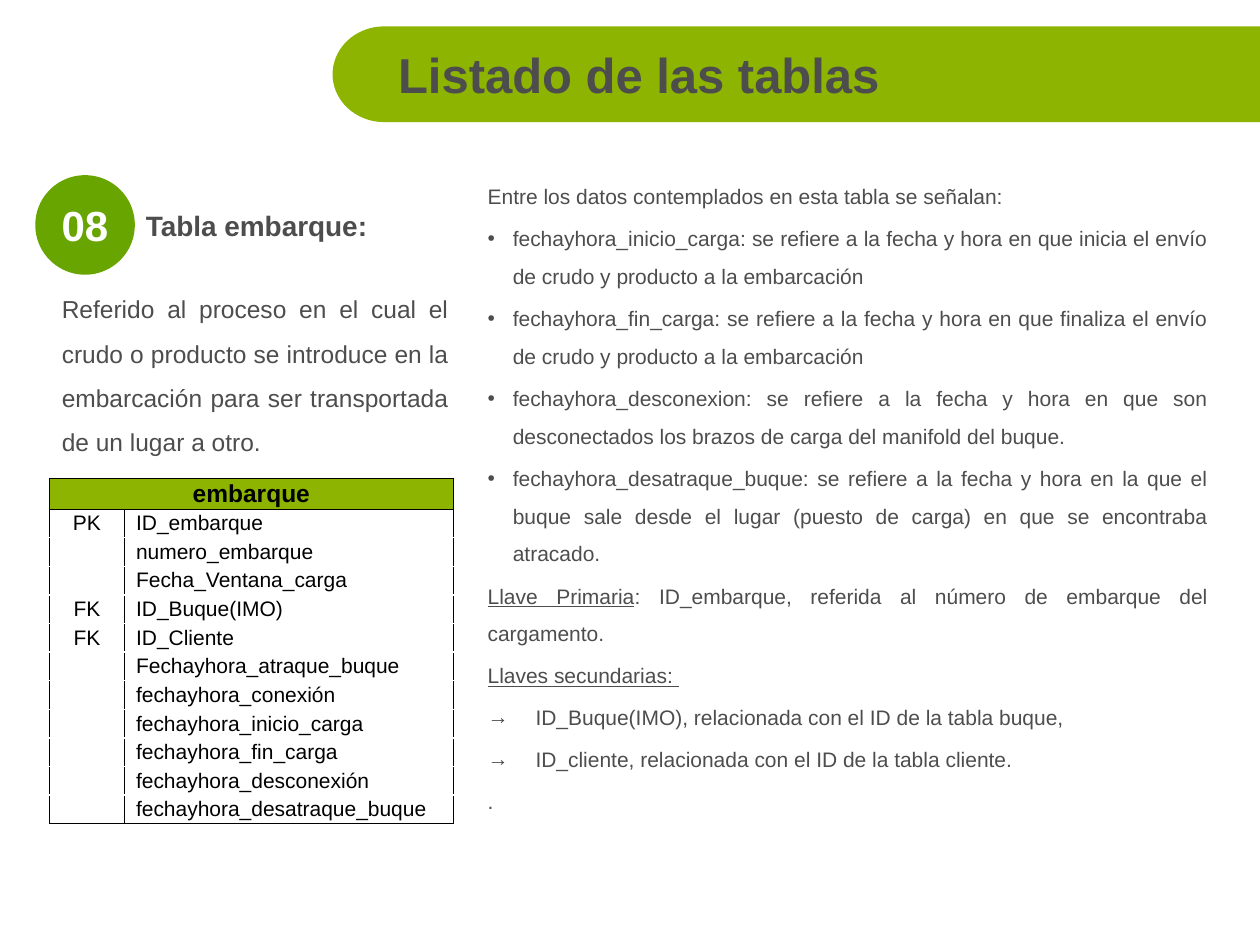
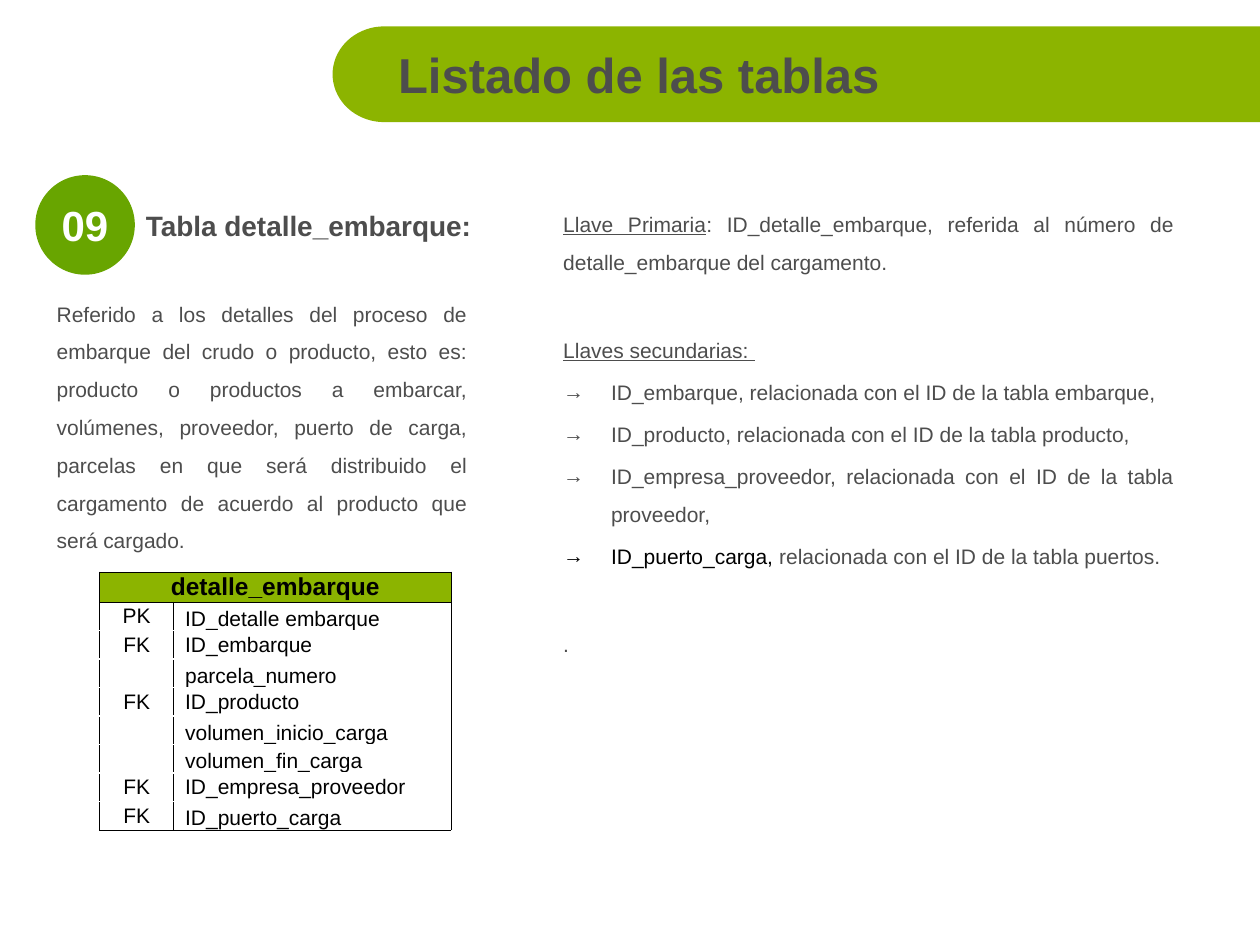
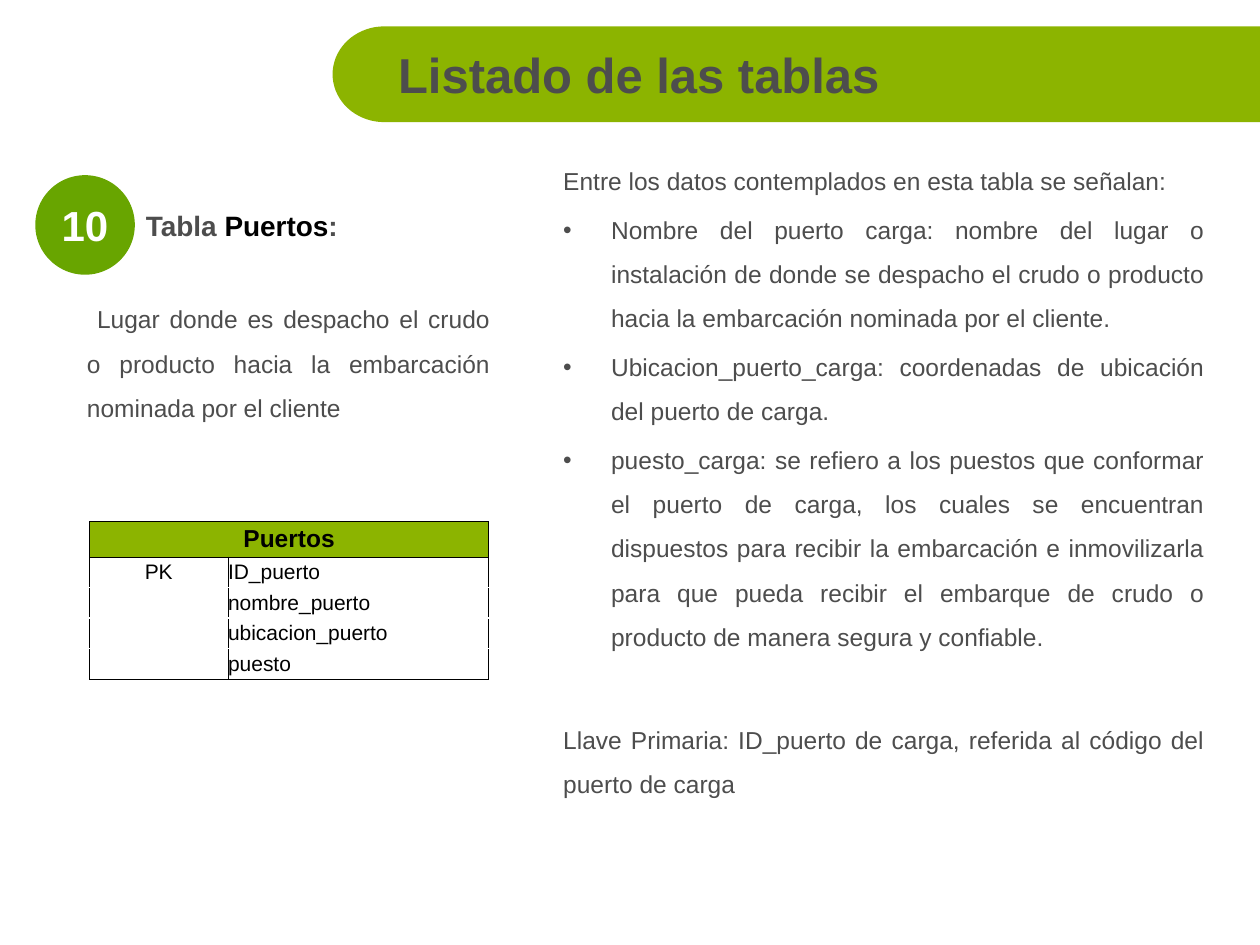
"""Builds three slides describing the tables of a shipping database."""
import math
from collections import namedtuple

from lxml import etree
from pptx import Presentation
from pptx import util as u
from pptx.dml.color import RGBColor
from pptx.enum import shapes, text
from pptx.oxml.ns import qn

LIME = RGBColor(0x8C, 0xB4, 0x00)
GREEN = RGBColor(0x68, 0xA5, 0x00)
GREY = RGBColor(0x4D, 0x4D, 0x4D)
BLACK = RGBColor(0, 0, 0)
WHITE = RGBColor(0xFF, 0xFF, 0xFF)
FONT = "Arial"
TITLE = "Listado de las tablas"

Line = namedtuple("Line", "runs mark hang first gap", defaults=("", 0, 0, False))
Run = namedtuple("Run", "text color underline", defaults=(GREY, False))
Field = namedtuple("Field", "key name low", defaults=(False,))


def plain(words, **options):
    """Return a line with a single grey run."""
    return Line([Run(words)], **options)


def bullet(words, hang=0.38):
    """Return a line marked with a dot."""
    return plain(words, mark="•", hang=hang)


def arrow(*runs):
    """Return a line marked with an arrow."""
    return Line(runs, mark="→", hang=0.38)


def place(shape, left, top, width, height):
    """Move and size a shape, in inches."""
    shape.left, shape.top = u.Inches(left), u.Inches(top)
    shape.width, shape.height = u.Inches(width), u.Inches(height)


def add_runs(p, runs, size, bold=False):
    """Write formatted runs into a paragraph."""
    for run in runs:
        r = p.add_run()
        r.text = run.text
        r.font.name, r.font.size = FONT, u.Pt(size)
        r.font.bold, r.font.underline = bold, run.underline
        r.font.color.rgb = run.color


def set_bullet(p, line):
    """Set the indents and the bullet of a paragraph."""
    pPr = p._p.get_or_add_pPr()
    pPr.set("marL", str(u.Inches(line.hang)))
    pPr.set("indent", str(u.Inches(line.first - line.hang)))
    if line.mark:
        etree.SubElement(pPr, qn("a:buFont"), typeface=FONT)
        etree.SubElement(pPr, qn("a:buChar"), char=line.mark)
    else:
        etree.SubElement(pPr, qn("a:buNone"))


def fill_body(sp, box, lines, size):
    """Fill a body placeholder with justified lines."""
    place(sp, *box)
    tf = sp.text_frame
    tf.auto_size = text.MSO_AUTO_SIZE.NONE
    for i, line in enumerate(lines):
        p = tf.add_paragraph() if i else tf.paragraphs[0]
        set_bullet(p, line)
        p.alignment = text.PP_ALIGN.JUSTIFY
        p.line_spacing = 1.5
        p.space_before = u.Pt(size * (2.4 if line.gap else 0.2) if i else 0)
        add_runs(p, line.runs, size)


def add_band(s):
    """Draw the title band, round at its left end, behind the title."""
    left, top, right, bottom, start = 2.64, 0.21, 10, 0.97, 3.05
    middle, half = (top + bottom) / 2, (bottom - top) / 2
    angles = [math.radians(90 + 5 * i) for i in range(37)]
    arc = [(start + (start - left) * math.cos(a), middle + half * math.sin(a))
           for a in angles]
    points = [(u.Inches(x), u.Inches(y)) for x, y in arc + [(right, top)]]
    builder = s.shapes.build_freeform(u.Inches(right), u.Inches(bottom))
    builder.add_line_segments(points, close=True)
    sp = builder.convert_to_shape()
    sp.shadow.inherit = False
    sp.fill.solid()
    sp.fill.fore_color.rgb = LIME
    sp.line.fill.background()
    s.shapes.element.insert(2, sp.element)


def add_title(s):
    """Write the slide title over its band."""
    add_band(s)
    sp = s.shapes.title
    place(sp, 3.06, 0.27, 6.94, 0.63)
    tf = sp.text_frame
    tf.auto_size = text.MSO_AUTO_SIZE.NONE
    tf.vertical_anchor = text.MSO_ANCHOR.MIDDLE
    p = tf.paragraphs[0]
    p.alignment = text.PP_ALIGN.LEFT
    add_runs(p, [Run(TITLE)], 28, True)


def add_heading(s, number, runs):
    """Draw the numbered badge and the heading beside it."""
    sp = s.shapes.add_shape(shapes.MSO_SHAPE.OVAL, u.Inches(0.28), u.Inches(1.39),
                            u.Inches(0.79), u.Inches(0.79))
    sp.shadow.inherit = False
    sp.fill.solid()
    sp.fill.fore_color.rgb = GREEN
    sp.line.fill.background()
    tf = sp.text_frame
    tf.margin_left = tf.margin_right = 0
    tf.vertical_anchor = text.MSO_ANCHOR.MIDDLE
    p = tf.paragraphs[0]
    p.alignment = text.PP_ALIGN.CENTER
    add_runs(p, [Run(number, WHITE)], 24, True)

    tf = s.shapes.add_textbox(u.Inches(1.06), u.Inches(1.6),
                              u.Inches(3.07), u.Inches(0.37)).text_frame
    tf.word_wrap = True
    tf.vertical_anchor = text.MSO_ANCHOR.MIDDLE
    add_runs(tf.paragraphs[0], runs, 16, True)


def set_cell(cell, words, sides, size=12, centered=False, low=False, indent=0, color=None):
    """Write a table cell and draw its borders on the given sides."""
    tcPr = cell._tc.get_or_add_tcPr()
    for side in sides:
        ln = etree.SubElement(tcPr, qn("a:ln" + side), w=str(u.Pt(0.5)))
        solid = etree.SubElement(ln, qn("a:solidFill"))
        etree.SubElement(solid, qn("a:srgbClr"), val=str(BLACK))
    if color:
        cell.fill.solid()
        cell.fill.fore_color.rgb = color
    else:
        cell.fill.background()
    cell.margin_left = u.Inches(indent)
    cell.margin_right = cell.margin_top = cell.margin_bottom = 0
    cell.vertical_anchor = text.MSO_ANCHOR.BOTTOM if low else text.MSO_ANCHOR.MIDDLE
    p = cell.text_frame.paragraphs[0]
    p.alignment = text.PP_ALIGN.CENTER if centered else text.PP_ALIGN.LEFT
    if words:
        add_runs(p, [Run(words, BLACK)], size, bold=bool(color))
    else:
        etree.SubElement(p._p, qn("a:endParaRPr"), sz=str(size * 100))


def add_fields(s, name, fields, left, top, widths, height, header, indent=0.09):
    """Add the table that lists the keys and fields of a database table."""
    count = len(fields)
    table = s.shapes.add_table(count + 1, 2, u.Inches(left), u.Inches(top),
                               u.Inches(sum(widths)), u.Inches(height)).table
    table.first_row = table.horz_banding = False
    for column, width in zip(table.columns, widths):
        column.width = u.Inches(width)
    for i, row in enumerate(table.rows):
        row.height = u.Inches((height - header) / count if i else header)
    table.cell(0, 0).merge(table.cell(0, 1))
    set_cell(table.cell(0, 0), name, "LRTB", 14, centered=True, color=LIME)
    set_cell(table.cell(0, 1), "", "LRTB", color=LIME)
    for i, field in enumerate(fields, 1):
        sides = "LR" + ("T" if i == 1 else "") + ("B" if i == count else "")
        set_cell(table.cell(i, 0), field.key, sides, centered=True)
        set_cell(table.cell(i, 1), field.name, sides, low=field.low, indent=indent)


def add_slide(prs, number, heading, summary, details):
    """Add a slide with title, heading, summary and details."""
    s = prs.slides.add_slide(prs.slide_layouts[3])
    add_title(s)
    fill_body(s.placeholders[2], *details)
    add_heading(s, number, heading)
    fill_body(s.placeholders[1], *summary)
    return s


def add_embarque(prs):
    """Add the slide of the table embarque."""
    summary = [plain("Referido al proceso en el cual el crudo o producto se introduce en la "
                     "embarcación para ser transportada de un lugar a otro.")]
    dated = [
        "fechayhora_inicio_carga: se refiere a la fecha y hora en que inicia el envío de "
        "crudo y producto a la embarcación",
        "fechayhora_fin_carga: se refiere a la fecha y hora en que finaliza el envío de "
        "crudo y producto a la embarcación",
        "fechayhora_desconexion: se refiere a la fecha y hora en que son desconectados los "
        "brazos de carga del manifold del buque.",
        "fechayhora_desatraque_buque: se refiere a la fecha y hora en la que el buque sale "
        "desde el lugar (puesto de carga) en que se encontraba atracado.",
    ]
    details = [
        plain("Entre los datos contemplados en esta tabla se señalan:"),
        *[bullet(words, 0.2) for words in dated],
        Line([Run("Llave Primaria", underline=True),
              Run(": ID_embarque, referida al número de embarque del cargamento. ")]),
        Line([Run("Llaves secundarias: ", underline=True)]),
        arrow(Run("ID_Buque(IMO), relacionada con el ID de la tabla buque,")),
        arrow(Run("ID_cliente, relacionada con el ID de la tabla cliente.")),
        plain("."),
    ]
    s = add_slide(prs, "08", [Run("Tabla embarque:")],
                  ((0.39, 2.17, 3.27, 1.43), summary, 14),
                  ((3.77, 1.31, 5.92, 4.8), details, 12))
    fields = [
        Field("PK", "ID_embarque"),
        Field("", "numero_embarque"),
        Field("", "Fecha_Ventana_carga"),
        Field("FK", "ID_Buque(IMO)"),
        Field("FK", "ID_Cliente"),
        Field("", "Fechayhora_atraque_buque"),
        Field("", "fechayhora_conexión"),
        Field("", "fechayhora_inicio_carga"),
        Field("", "fechayhora_fin_carga"),
        Field("", "fechayhora_desconexión"),
        Field("", "fechayhora_desatraque_buque"),
    ]
    add_fields(s, "embarque", fields, 0.39, 3.8, (0.6, 2.61), 2.74, 0.24)


def add_detalle_embarque(prs):
    """Add the slide of the table detalle_embarque."""
    summary = [plain("Referido a los detalles del proceso de embarque del crudo o producto, "
                     "esto es: producto o productos a embarcar, volúmenes, proveedor, puerto "
                     "de carga, parcelas en que será distribuido el cargamento de acuerdo al "
                     "producto que será cargado.")]
    details = [
        Line([Run("Llave Primaria", underline=True),
              Run(": ID_detalle_embarque, referida al número de detalle_embarque del "
                  "cargamento. ")]),
        Line([Run("Llaves secundarias: ", underline=True)], gap=True),
        arrow(Run("ID_embarque, relacionada con el ID de la tabla embarque,")),
        arrow(Run("ID_producto, relacionada con el ID de la tabla producto,")),
        arrow(Run("ID_empresa_proveedor, relacionada con el ID de la tabla proveedor,")),
        arrow(Run("ID_puerto_carga, ", BLACK),
              Run("relacionada con el ID de la tabla puertos.")),
        plain(".", gap=True),
    ]
    s = add_slide(prs, "09", [Run("Tabla detalle_embarque:")],
                  ((0.35, 2.24, 3.46, 1.9), summary, 12),
                  ((4.37, 1.53, 5.05, 3.25), details, 12))
    fields = [
        Field("PK", "ID_detalle embarque", low=True),
        Field("FK", "ID_embarque"),
        Field("", "parcela_numero", low=True),
        Field("FK", "ID_producto"),
        Field("", "volumen_inicio_carga", low=True),
        Field("", "volumen_fin_carga", low=True),
        Field("FK", "ID_empresa_proveedor"),
        Field("FK", "ID_puerto_carga", low=True),
    ]
    add_fields(s, "detalle_embarque", fields, 0.79, 4.54, (0.59, 2.2), 2.05, 0.24)


def add_puertos(prs):
    """Add the slide of the table Puertos."""
    summary = [plain("Lugar donde es despacho el crudo o producto hacia la embarcación "
                     "nominada por el cliente", first=0.08)]
    details = [
        plain("Entre los datos contemplados en esta tabla se señalan:"),
        bullet("Nombre del puerto carga: nombre del lugar o instalación de donde se despacho "
               "el crudo o producto hacia la embarcación nominada por el cliente. "),
        bullet("Ubicacion_puerto_carga: coordenadas de ubicación del puerto de carga."),
        bullet("puesto_carga: se refiero a los puestos que conformar el puerto de carga, los "
               "cuales se encuentran dispuestos para recibir la embarcación e inmovilizarla "
               "para que pueda recibir el embarque de crudo o producto de manera segura y "
               "confiable."),
        plain("Llave Primaria: ID_puerto de carga, referida al código del puerto de carga",
              gap=True),
    ]
    s = add_slide(prs, "10", [Run("Tabla "), Run("Puertos", BLACK), Run(":")],
                  ((0.59, 2.25, 3.4, 1.1), summary, 14),
                  ((4.37, 1.15, 5.29, 5.2), details, 14))
    fields = [
        Field("PK", "ID_puerto"),
        Field("", "nombre_puerto"),
        Field("", "ubicacion_puerto"),
        Field("", "puesto"),
    ]
    add_fields(s, "Puertos", fields, 0.71, 4.14, (1.1, 2.07), 1.25, 0.28, indent=0)


def main():
    """Build and save the presentation."""
    prs = Presentation()
    prs.slide_width, prs.slide_height = u.Inches(10), u.Inches(7.5)
    add_embarque(prs)
    add_detalle_embarque(prs)
    add_puertos(prs)
    prs.save("out.pptx")


if __name__ == "__main__":
    main()
